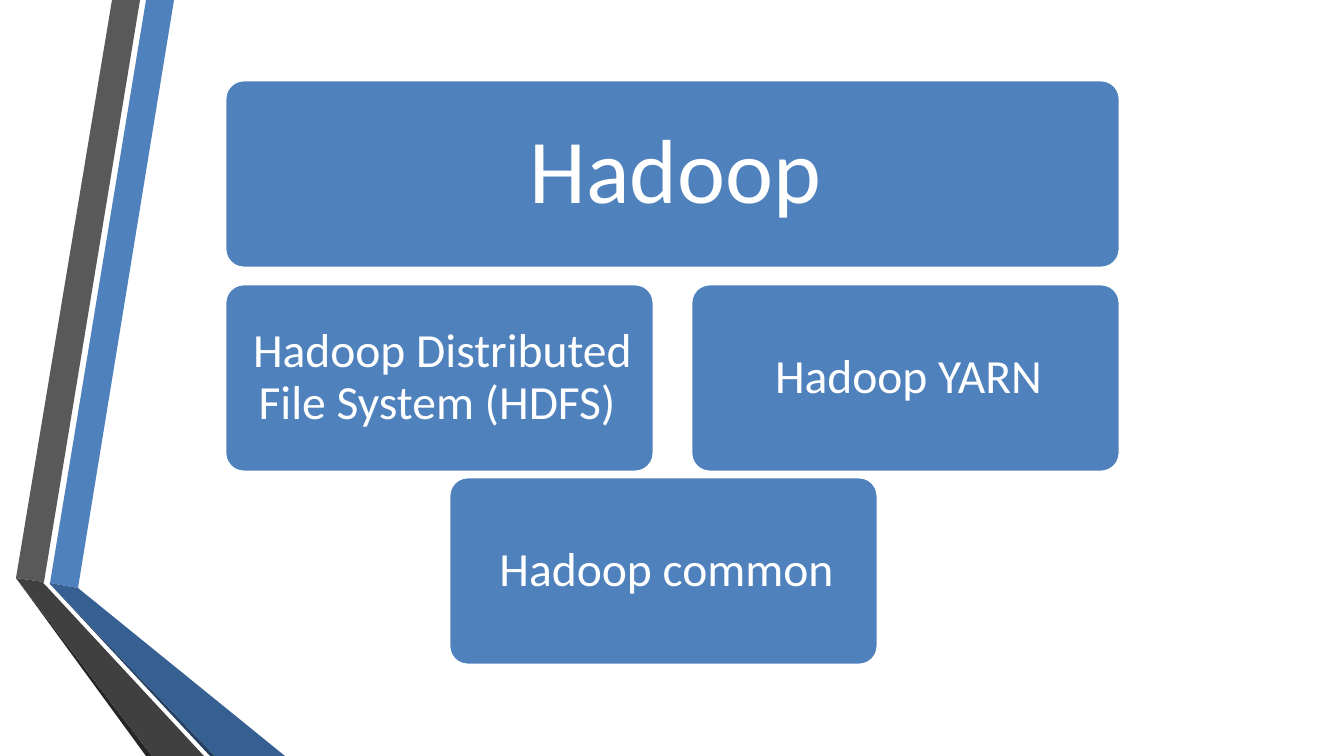
from pptx import Presentation
from pptx.dml.color import RGBColor
from pptx.enum.shapes import MSO_SHAPE as Preset
from pptx.enum.text import MSO_ANCHOR as Anchor, PP_ALIGN as Align
from pptx.util import Pt

PX = 9144000 / 1008  # EMU in one px
SLIDE_WIDTH, SLIDE_HEIGHT = 1344, 756
BLUE, WHITE = "4F81BD", "FFFFFF"

# Folded ribbons at the left edge: colour, outline points
RIBBONS = [
    (BLUE, [(50, 583), (78, 588), (174, 0), (146, 0)]),
    ("595959", [(140, 0), (112, 0), (16, 578), (44, 582)]),
    ("262626", [(16, 578), (146, 756), (152, 756)]),
    ("254061", [(50, 584), (210, 756), (215, 756)]),
    ("376092", [(50, 583), (50, 584), (215, 756), (285, 756), (78, 588)]),
    ("404040", [(204, 756), (48, 588), (43, 583), (44, 582), (16, 578), (152, 756)]),
]

# Diagram grid
LEFT, FULL_WIDTH, HALF_WIDTH, BOX_HEIGHT = 225, 895, 429, 188
TOP_ROW, MIDDLE_ROW, BOTTOM_ROW = 80, 284, 477
RIGHT_COLUMN = LEFT + FULL_WIDTH - HALF_WIDTH
COMMON_LEFT = 449

# Text size and insets (left, top, right, bottom)
MAIN_STYLE = (65, (33, 33, 27, 33))
PART_STYLE = (34, (20, 20, 14, 20))

# Boxes: text, left, top, width, style
BOXES = [
    ("Hadoop", LEFT, TOP_ROW, FULL_WIDTH, MAIN_STYLE),
    ("Hadoop Distributed File System (HDFS) ", LEFT, MIDDLE_ROW, HALF_WIDTH, PART_STYLE),
    ("Hadoop common", COMMON_LEFT, BOTTOM_ROW, HALF_WIDTH, PART_STYLE),
    ("Hadoop YARN", RIGHT_COLUMN, MIDDLE_ROW, HALF_WIDTH, PART_STYLE),
]


def px(length):
    return round(length * PX)


def color(hex_value):
    return RGBColor.from_string(hex_value)


def paint(shape, fill):
    shape.shadow.inherit = False
    shape.fill.solid()
    shape.fill.fore_color.rgb = color(fill)


def add_ribbon(slide, fill, points):
    builder = slide.shapes.build_freeform(*points[0], scale=PX)
    builder.add_line_segments(points[1:], close=True)
    shape = builder.convert_to_shape()
    paint(shape, fill)
    shape.line.fill.background()


def add_box(slide, text, left, top, width, style):
    size, insets = style
    shape = slide.shapes.add_shape(
        Preset.ROUNDED_RECTANGLE, px(left), px(top), px(width), px(BOX_HEIGHT))
    shape.adjustments[0] = 0.1
    paint(shape, BLUE)
    shape.line.color.rgb = color(WHITE)
    shape.line.width = Pt(2)

    frame = shape.text_frame
    frame.word_wrap = True
    frame.vertical_anchor = Anchor.MIDDLE
    (frame.margin_left, frame.margin_top,
     frame.margin_right, frame.margin_bottom) = map(px, insets)
    frame.text = text
    paragraph = frame.paragraphs[0]
    paragraph.alignment = Align.CENTER
    paragraph.line_spacing = 0.9
    paragraph.font.name = "Calibri"
    paragraph.font.size = Pt(size)
    paragraph.font.color.rgb = color(WHITE)


def main():
    presentation = Presentation()
    presentation.slide_width = px(SLIDE_WIDTH)
    presentation.slide_height = px(SLIDE_HEIGHT)
    slide = presentation.slides.add_slide(presentation.slide_layouts[6])

    for ribbon in RIBBONS:
        add_ribbon(slide, *ribbon)
    for box in BOXES:
        add_box(slide, *box)

    presentation.save("out.pptx")


if __name__ == "__main__":
    main()
